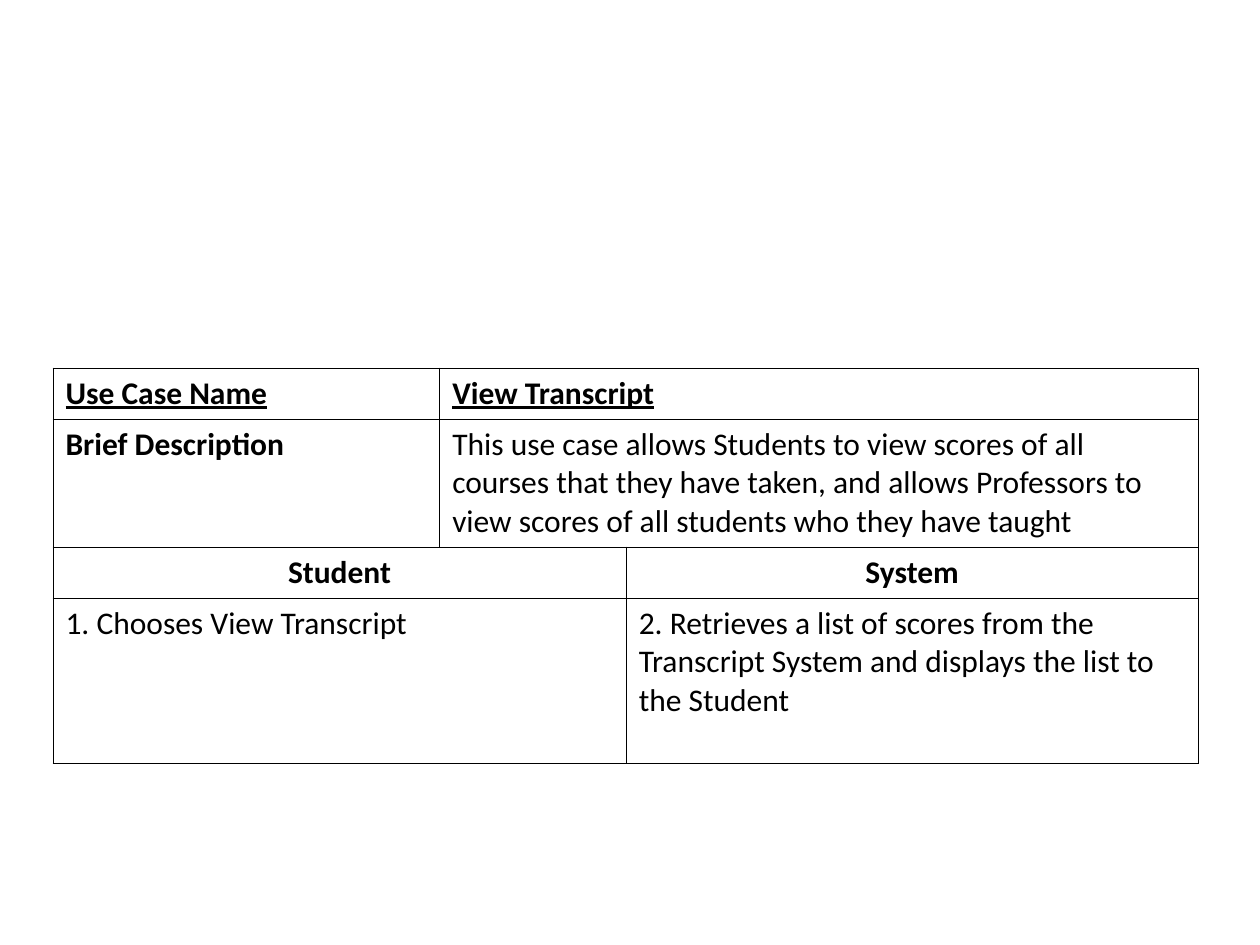
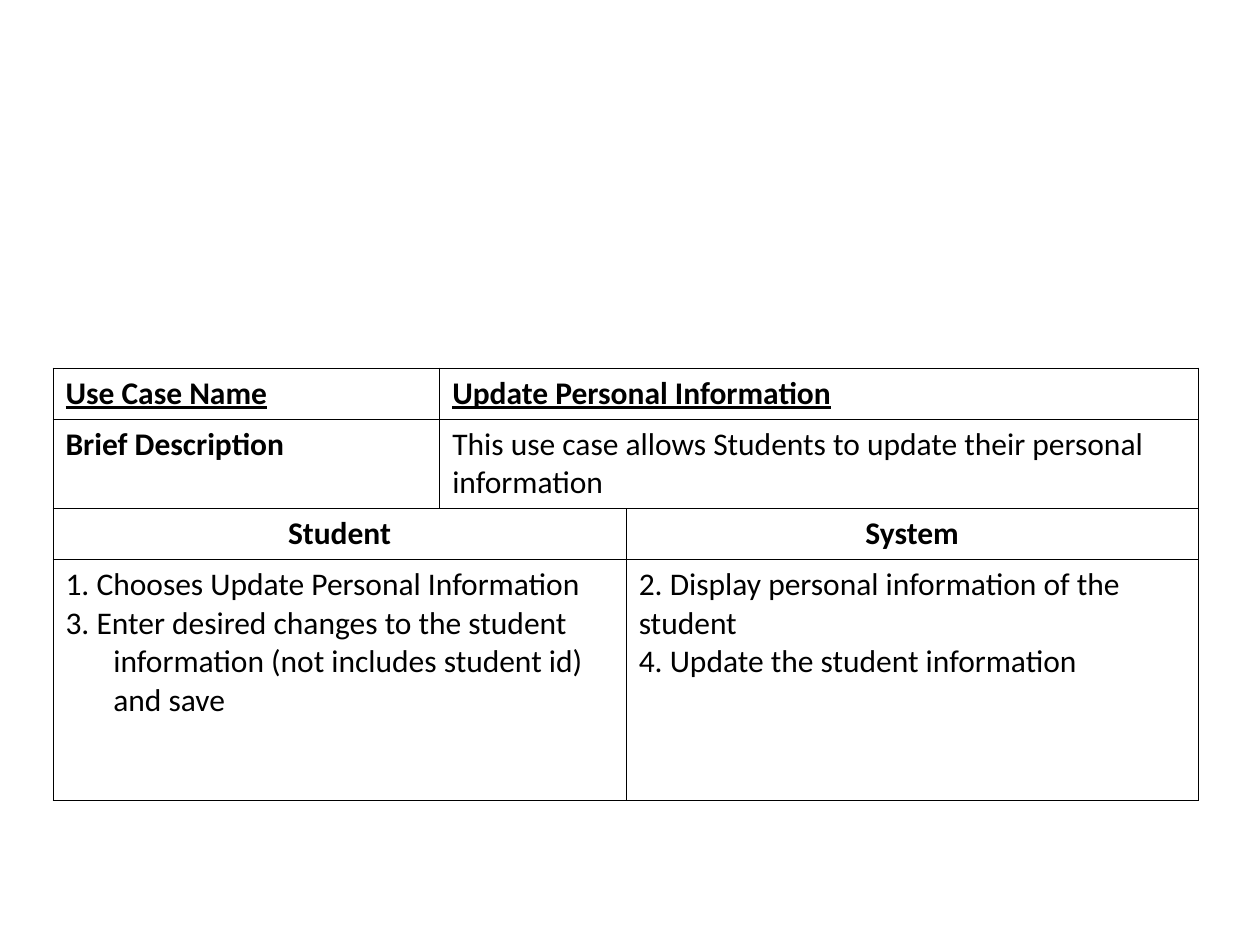
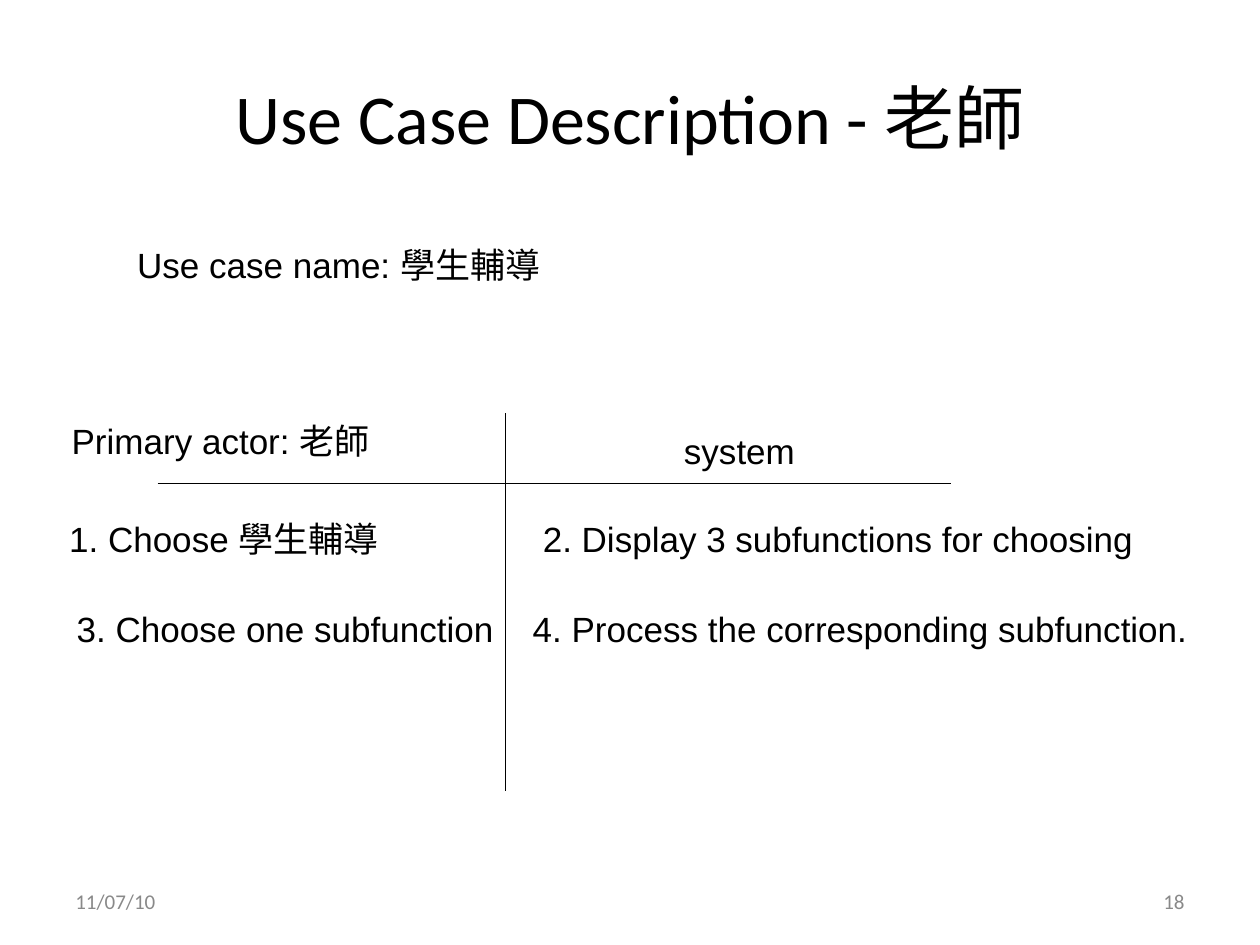
import pptx
import pptx.dml.color
import pptx.enum.shapes
import pptx.enum.text
import pptx.oxml
import pptx.oxml.ns
import pptx.util

UNIT = pptx.util.Inches(0.1)
BLACK, GREY = "000000", "898989"
LEFT, CENTER, RIGHT = (getattr(pptx.enum.text.PP_ALIGN, n) for n in ("LEFT", "CENTER", "RIGHT"))
TOP, MIDDLE = (getattr(pptx.enum.text.MSO_ANCHOR, n) for n in ("TOP", "MIDDLE"))
TABLE_COLS = (30.7, 14.8, 45.4)
HANG = 3.8


def grid(*lengths):
    """Turn grid units, 100 across and 75 down the slide, into lengths."""
    return [round(n * UNIT) for n in lengths]


def rgb(value):
    """Turn a hex string into a colour."""
    return pptx.dml.color.RGBColor.from_string(value)


def style(p, size, font="Calibri", color=BLACK, align=LEFT, bold=False, underline=False):
    """Format a whole paragraph."""
    p.alignment = align
    p.font.size = pptx.util.Pt(size)
    p.font.name = font
    p.font.color.rgb = rgb(color)
    p.font.bold = bold
    p.font.underline = underline


def add_text(slide, box, text, size, anchor=TOP, wrap=False, **fmt):
    """Add a one-paragraph text box."""
    tf = slide.shapes.add_textbox(*grid(*box)).text_frame
    tf.word_wrap = wrap
    tf.vertical_anchor = anchor
    tf.text = text
    style(tf.paragraphs[0], size, **fmt)
    return tf


def add_label(slide, x, y, width, text, wrap=False):
    """Add a line of the use case dialogue."""
    tf = add_text(slide, (x, y, width, 4.4), text, 20, wrap=wrap, font="Arial")
    tf.auto_size = pptx.enum.text.MSO_AUTO_SIZE.SHAPE_TO_FIT_TEXT


def add_line(slide, *ends):
    """Add a thin straight line."""
    straight = pptx.enum.shapes.MSO_CONNECTOR.STRAIGHT
    line = slide.shapes.add_connector(straight, *grid(*ends))
    line.line.color.rgb = rgb(BLACK)
    line.line.width = pptx.util.Pt(0.75)
    props = line._element.spPr
    props.append(pptx.oxml.parse_xml(f'<a:effectLst {pptx.oxml.ns.nsdecls("a")}/>'))


def add_borders(cell):
    """Draw thin lines on all four sides of a cell."""
    props = cell._tc.get_or_add_tcPr()
    for i, side in enumerate(("lnL", "lnR", "lnT", "lnB")):
        props.insert(i, pptx.oxml.parse_xml(
            f'<a:{side} {pptx.oxml.ns.nsdecls("a")} w="{pptx.util.Pt(0.45)}">'
            f'<a:solidFill><a:srgbClr val="{BLACK}"/></a:solidFill></a:{side}>'))


def fill_cell(cell, text, anchor=TOP, hang=0, **fmt):
    """Write the paragraphs of a cell, with an optional hanging indent."""
    cell.text = text
    cell.vertical_anchor = anchor
    for p in cell.text_frame.paragraphs:
        if hang:
            props = p._p.get_or_add_pPr()
            props.set("marL", str(grid(hang)[0]))
            props.set("indent", str(grid(-hang)[0]))
        style(p, 18, **fmt)


def add_use_case(prs, name, description, student, system, heights):
    """Add a slide with the table of one use case."""
    slide = prs.slides.add_slide(prs.slide_layouts[6])
    box = grid(4.2, 29.2, sum(TABLE_COLS), sum(heights))
    table = slide.shapes.add_table(len(heights), len(TABLE_COLS), *box).table
    table.first_row = table.horz_banding = False
    for col, width in zip(table.columns, grid(*TABLE_COLS)):
        col.width = width
    for row, height in zip(table.rows, grid(*heights)):
        row.height = height
    for cell in table.iter_cells():
        cell.fill.background()
        add_borders(cell)
    for r in range(2):
        table.cell(r, 1).merge(table.cell(r, 2))
        table.cell(r + 2, 0).merge(table.cell(r + 2, 1))

    for c, text in enumerate(("Use Case Name", name)):
        fill_cell(table.cell(0, c), text, MIDDLE, bold=True, underline=True)
    fill_cell(table.cell(1, 0), "Brief Description", bold=True)
    fill_cell(table.cell(1, 1), description)
    for c, text in ((0, "Student"), (2, "System")):
        fill_cell(table.cell(2, c), text, MIDDLE, align=CENTER, bold=True)
    fill_cell(table.cell(3, 0), student, hang=HANG)
    fill_cell(table.cell(3, 2), system)


def add_dialogue(prs):
    """Add the teacher's use case as a two-column dialogue."""
    slide = prs.slides.add_slide(prs.slide_layouts[5])
    title = slide.shapes.title
    title.left, title.top, title.width, title.height = grid(5, 3, 90, 12.5)
    title.text_frame.text = "Use Case Description - 老師"
    title.text_frame.vertical_anchor = MIDDLE
    style(title.text_frame.paragraphs[0], 40, align=CENTER)

    add_line(slide, 12.5, 38.35, 75.5, 38.35)
    add_line(slide, 40.1, 32.8, 40.1, 62.8)
    add_label(slide, 9.9, 18.8, 34.7, "Use case name: 學生輔導")
    add_label(slide, 4.7, 32.8, 30.5, "Primary actor: 老師", wrap=True)
    add_label(slide, 53.3, 33.6, 10.8, "system")
    add_label(slide, 4.5, 40.6, 27.2, "1. Choose 學生輔導")
    add_label(slide, 42.1, 40.6, 49.6, "2. Display 3 subfunctions for choosing")
    add_label(slide, 5.1, 47.7, 35.1, "3. Choose one subfunction")
    add_label(slide, 41.3, 47.7, 54, "4. Process the corresponding subfunction.")

    for x, text, align in ((5, "11/07/10", LEFT), (71.7, "18", RIGHT)):
        add_text(slide, (x, 69.5, 23.3, 4), text, 12, MIDDLE, True, color=GREY, align=align)


def main():
    """Build and save the presentation."""
    prs = pptx.Presentation()
    prs.slide_width, prs.slide_height = grid(100, 75)
    add_use_case(
        prs, "View Transcript",
        "This use case allows Students to view scores of all courses that they have taken, "
        "and allows Professors to view scores of all students who they have taught",
        "1. Chooses View Transcript",
        "2. Retrieves a list of scores from the Transcript System "
        "and displays the list to the Student",
        (4, 10, 4, 13.1))
    add_use_case(
        prs, "Update Personal Information",
        "This use case allows Students to update their personal information",
        "1. Chooses Update Personal Information\n"
        "3. Enter desired changes to the student information "
        "(not includes student id) and save",
        "2. Display personal information of the student\n"
        "4. Update the student information",
        (4, 7, 4, 19.1))
    add_dialogue(prs)
    prs.save("out.pptx")


if __name__ == "__main__":
    main()
